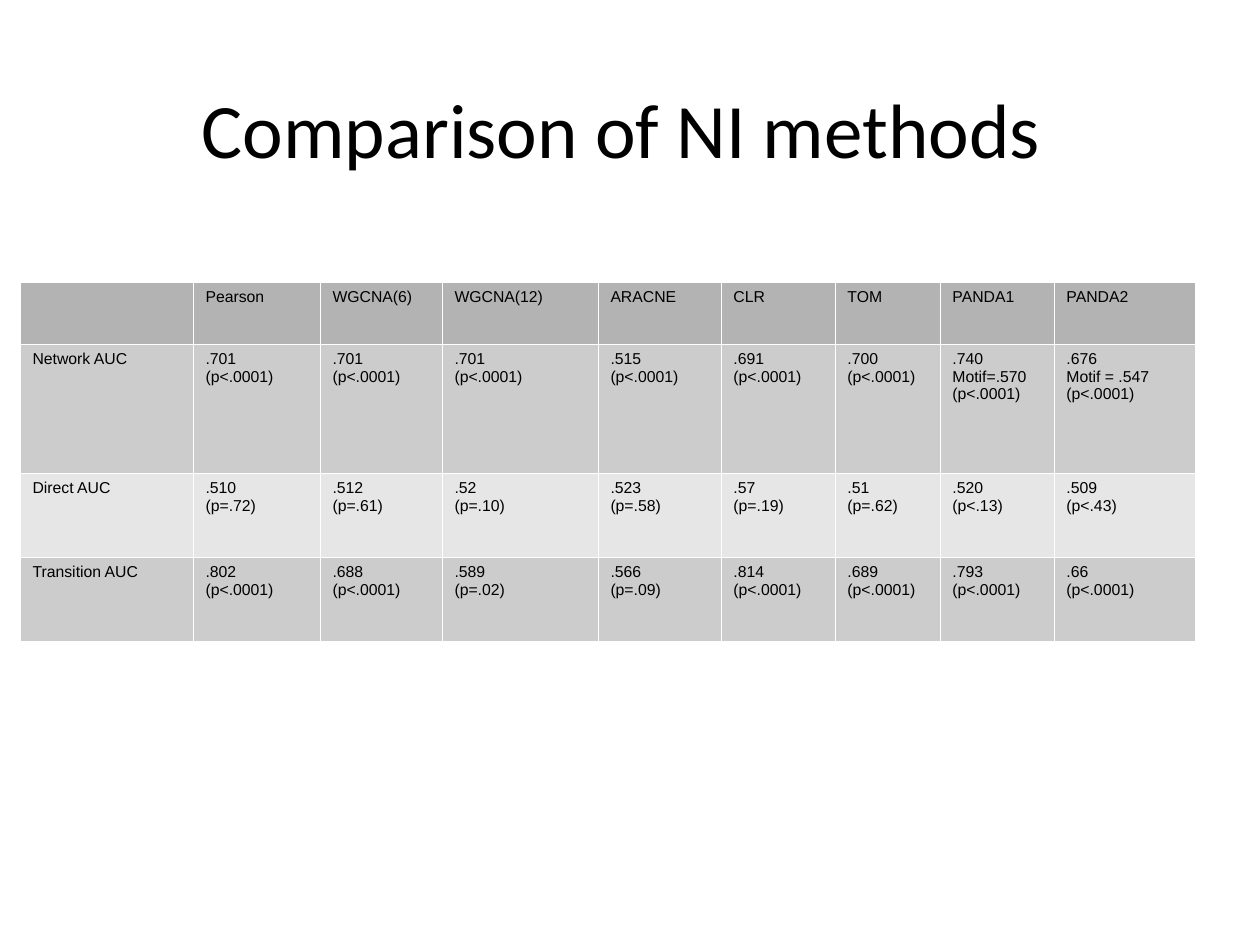
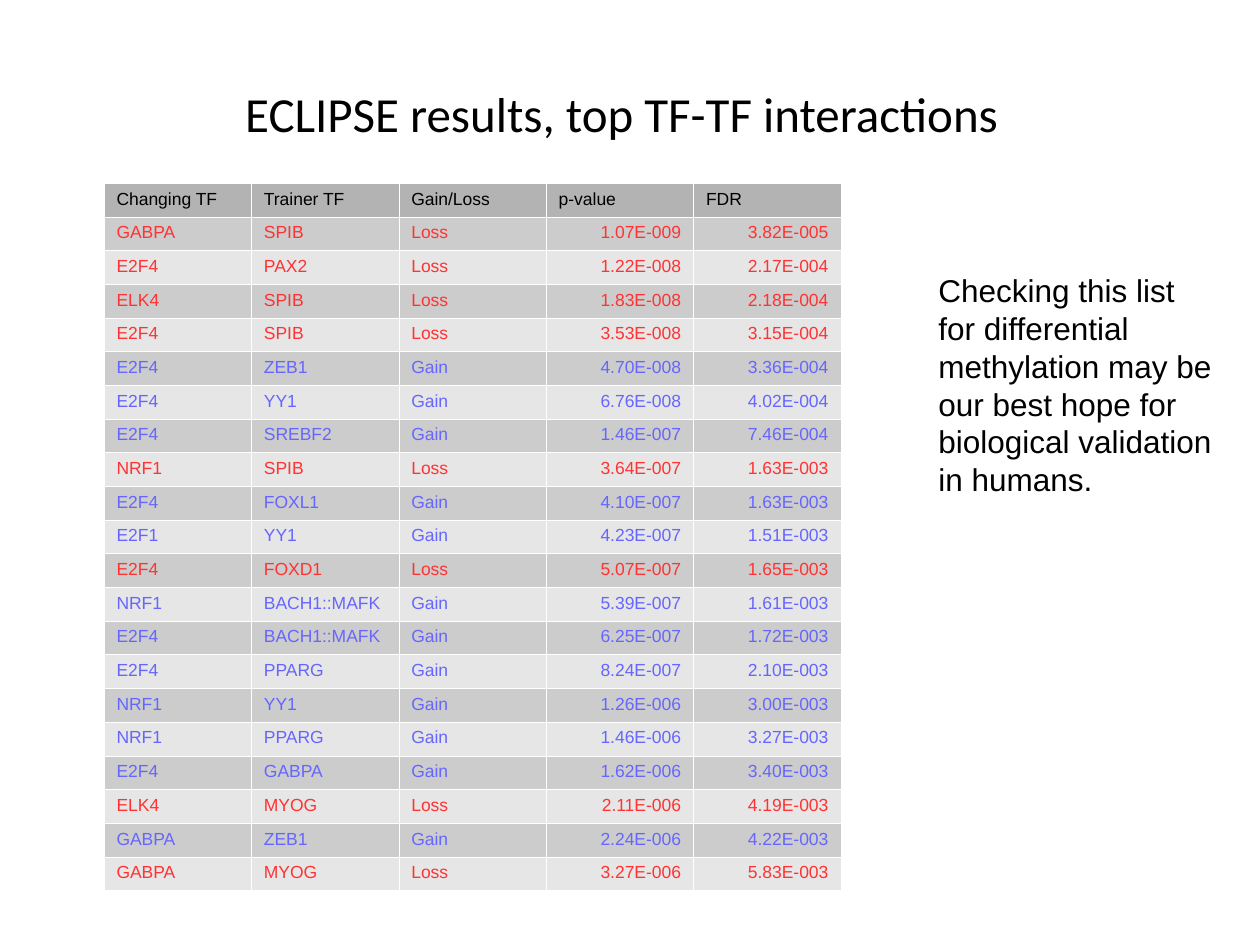
import lxml.etree
import pptx
import pptx.dml.color
import pptx.enum.text
import pptx.oxml.ns
import pptx.util

ALIGN = pptx.enum.text.PP_ALIGN
ANCHOR = pptx.enum.text.MSO_ANCHOR
PX = 914400 // 126
BLACK, WHITE = "000000", "FFFFFF"
HEADER_FILL = "B3B3B3"
BAND_FILLS = ("CCCCCC", "E6E6E6")
CHANGE_COLORS = {"Loss": "FF3333", "Gain": "6666FF"}
BORDER_WIDTH = 0.06

METHODS_TITLE = "Comparison of NI methods"
METHODS = [
    ("", "Pearson", "WGCNA(6)", "WGCNA(12)", "ARACNE", "CLR", "TOM", "PANDA1", "PANDA2"),
    ("Network AUC", ".701\n(p<.0001)", ".701\n(p<.0001)", ".701\n(p<.0001)",
     ".515\n(p<.0001)", ".691\n(p<.0001)", ".700\n(p<.0001)",
     ".740\nMotif=.570\n(p<.0001)", ".676\nMotif = .547\n(p<.0001)"),
    ("Direct AUC", ".510\n(p=.72)", ".512\n(p=.61)", ".52\n(p=.10)", ".523\n(p=.58)",
     ".57\n(p=.19)", ".51\n(p=.62)", ".520\n(p<.13)", ".509\n(p<.43)"),
    ("Transition AUC", ".802\n(p<.0001)", ".688\n(p<.0001)", ".589\n(p=.02)",
     ".566\n(p=.09)", ".814\n(p<.0001)", ".689\n(p<.0001)", ".793\n(p<.0001)",
     ".66\n(p<.0001)"),
]
METHOD_WIDTHS = [173, 127, 122, 156, 123, 114, 105, 114, 141]
METHOD_HEIGHTS = [62, 129, 84, 84]

RESULTS_TITLE = "ECLIPSE results, top TF-TF interactions"
RESULTS = [
    ("Changing TF", "Trainer TF", "Gain/Loss", "p-value", "FDR"),
    ("GABPA", "SPIB", "Loss", "1.07E-009", "3.82E-005"),
    ("E2F4", "PAX2", "Loss", "1.22E-008", "2.17E-004"),
    ("ELK4", "SPIB", "Loss", "1.83E-008", "2.18E-004"),
    ("E2F4", "SPIB", "Loss", "3.53E-008", "3.15E-004"),
    ("E2F4", "ZEB1", "Gain", "4.70E-008", "3.36E-004"),
    ("E2F4", "YY1", "Gain", "6.76E-008", "4.02E-004"),
    ("E2F4", "SREBF2", "Gain", "1.46E-007", "7.46E-004"),
    ("NRF1", "SPIB", "Loss", "3.64E-007", "1.63E-003"),
    ("E2F4", "FOXL1", "Gain", "4.10E-007", "1.63E-003"),
    ("E2F1", "YY1", "Gain", "4.23E-007", "1.51E-003"),
    ("E2F4", "FOXD1", "Loss", "5.07E-007", "1.65E-003"),
    ("NRF1", "BACH1::MAFK", "Gain", "5.39E-007", "1.61E-003"),
    ("E2F4", "BACH1::MAFK", "Gain", "6.25E-007", "1.72E-003"),
    ("E2F4", "PPARG", "Gain", "8.24E-007", "2.10E-003"),
    ("NRF1", "YY1", "Gain", "1.26E-006", "3.00E-003"),
    ("NRF1", "PPARG", "Gain", "1.46E-006", "3.27E-003"),
    ("E2F4", "GABPA", "Gain", "1.62E-006", "3.40E-003"),
    ("ELK4", "MYOG", "Loss", "2.11E-006", "4.19E-003"),
    ("GABPA", "ZEB1", "Gain", "2.24E-006", "4.22E-003"),
    ("GABPA", "MYOG", "Loss", "3.27E-006", "5.83E-003"),
]
RESULTS_WIDTH, RESULTS_HEIGHT = 737, 708
NOTE = ("Checking this list for differential methylation may be our best hope "
        "for biological validation in humans.")


def px(*lengths):
    return [round(length * PX) for length in lengths]


def rgb(color):
    return pptx.dml.color.RGBColor.from_string(color)


def write(frame, text, size=18, font="Arial", color=BLACK, align=ALIGN.LEFT):
    """Fill a text frame, one paragraph per line of text."""
    frame.text = text
    for para in frame.paragraphs:
        para.alignment = align
        para.font.size = pptx.util.Pt(size)
        for span in para.runs:
            span.font.size = pptx.util.Pt(size)
            span.font.name = font
            span.font.color.rgb = rgb(color)


def add_page(deck, title, top, height, size):
    page = deck.slides.add_slide(deck.slide_layouts.get_by_name("Title Only"))
    box = page.shapes.title
    box.left, box.top, box.width, box.height = px(86, top, 1071, height)
    frame = box.text_frame
    frame.margin_left = frame.margin_top = frame.margin_right = frame.margin_bottom = 0
    frame.vertical_anchor = ANCHOR.MIDDLE
    frame.auto_size = pptx.enum.text.MSO_AUTO_SIZE.NONE
    write(frame, title, size=size, font="Calibri", align=ALIGN.CENTER)
    return page


def draw_borders(cell):
    properties = cell._tc.get_or_add_tcPr()
    qn = pptx.oxml.ns.qn
    for side in ("a:lnL", "a:lnR", "a:lnT", "a:lnB"):
        line = lxml.etree.SubElement(properties, qn(side),
                                     w=str(pptx.util.Pt(BORDER_WIDTH)))
        fill = lxml.etree.SubElement(line, qn("a:solidFill"))
        lxml.etree.SubElement(fill, qn("a:srgbClr"), val=WHITE)


def add_grid(page, rows, left, top, widths, heights, size):
    """Add a banded table; Gain and Loss rows take their own text colour."""
    table = page.shapes.add_table(
        len(rows), len(widths), *px(left, top, sum(widths), sum(heights))).table
    table.first_row = table.horz_banding = False
    for column, width in zip(table.columns, px(*widths)):
        column.width = width
    for row, height in zip(table.rows, px(*heights)):
        row.height = height
    for i, texts in enumerate(rows):
        band = BAND_FILLS[(i - 1) % 2] if i else HEADER_FILL
        color = CHANGE_COLORS.get(texts[2], BLACK)
        for j, text in enumerate(texts):
            cell = table.cell(i, j)
            draw_borders(cell)
            cell.fill.solid()
            cell.fill.fore_color.rgb = rgb(band)
            align = ALIGN.RIGHT if "E-0" in text else ALIGN.LEFT
            write(cell.text_frame, text, size=size, color=color, align=align)


def main():
    deck = pptx.Presentation()
    deck.slide_width, deck.slide_height = px(1260, 945)

    page = add_page(deck, METHODS_TITLE, top=26, height=203, size=44)
    add_grid(page, METHODS, 20, 282, METHOD_WIDTHS, METHOD_HEIGHTS, size=9)

    page = add_page(deck, RESULTS_TITLE, top=50, height=126, size=28)
    columns, count = len(RESULTS[0]), len(RESULTS)
    add_grid(page, RESULTS, 104, 183, [RESULTS_WIDTH / columns] * columns,
             [RESULTS_HEIGHT / count] * count, size=10)
    box = page.shapes.add_textbox(*px(926, 265, 299, 224))
    box.text_frame.word_wrap = True
    write(box.text_frame, NOTE, size=18)

    deck.save("out.pptx")


if __name__ == "__main__":
    main()
